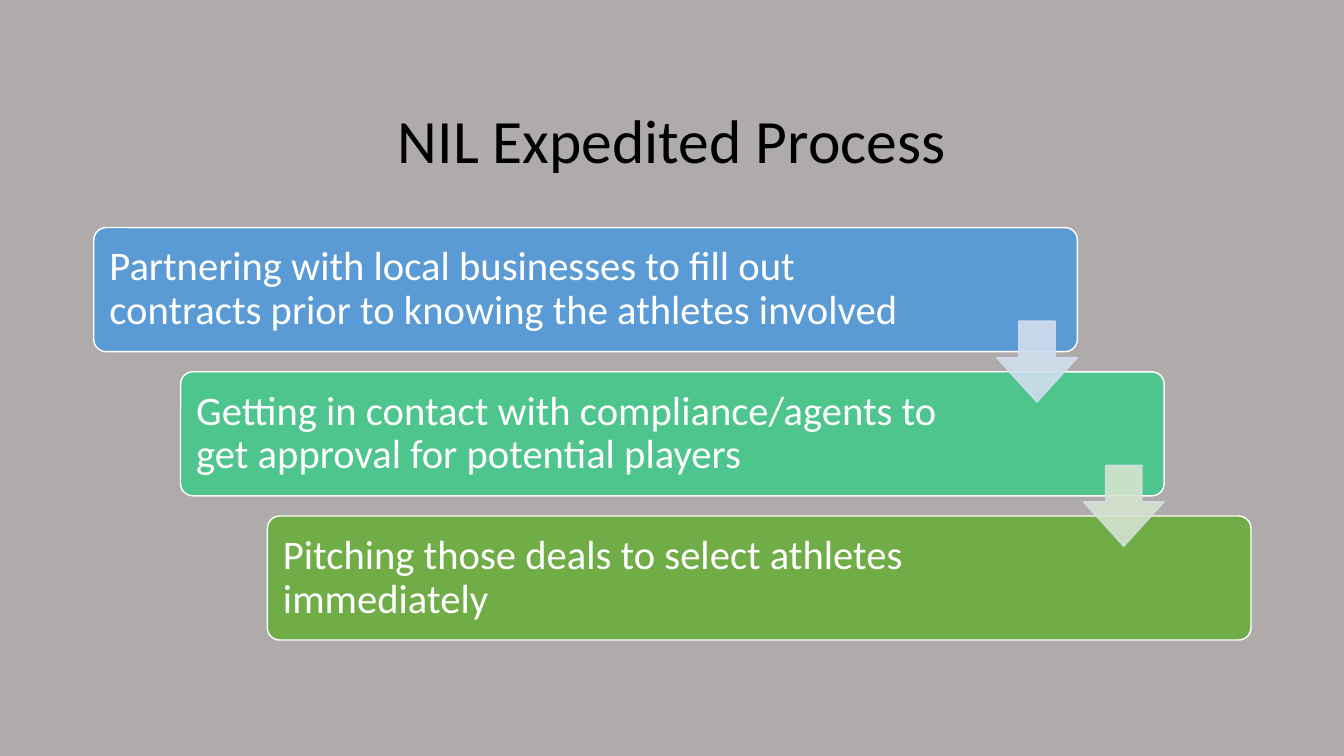
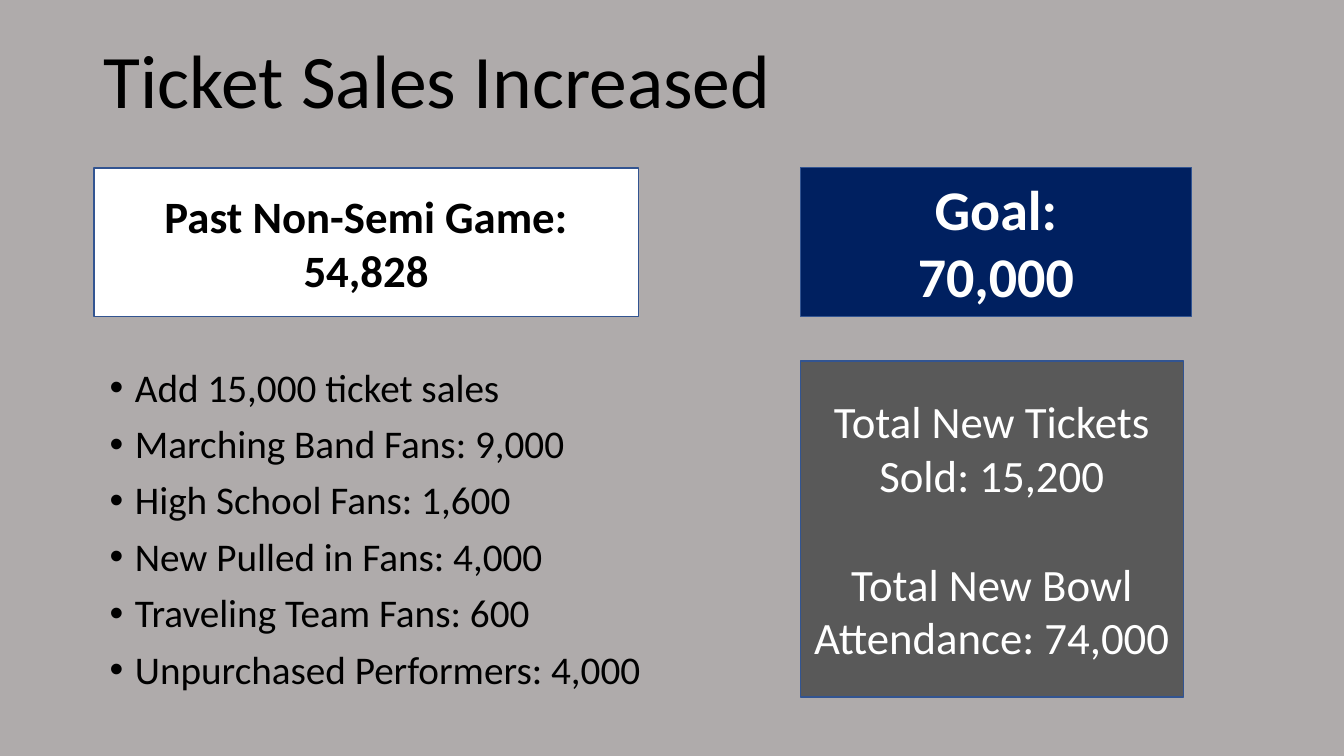
from lxml.etree import SubElement
from pptx import Presentation
from pptx.dml.color import RGBColor
from pptx.enum.shapes import MSO_SHAPE as SHAPE
from pptx.enum.text import MSO_ANCHOR as ANCHOR, PP_ALIGN as ALIGN
from pptx.oxml.ns import qn
from pptx.util import Pt

FONT = "Calibri"
COLORS = {
    "background": "AFABAB", "black": "000000", "white": "FFFFFF",
    "blue": "5B9BD5", "teal": "4DC58D", "green": "70AD47",
    "pale_blue": "D2DEEF", "pale_green": "D5E3CF",
    "outline": "325491", "navy": "002060", "gray": "595959",
}
STEPS = [
    ("Partnering with local businesses to fill out contracts prior to knowing the athletes involved", "blue", 100),
    ("Getting in contact with compliance/agents to get approval for potential players", "teal", 128),
    ("Pitching those deals to select athletes immediately", "green", 128),
]
ARROWS = ["pale_blue", "pale_green"]
SALES = [
    "Add 15,000 ticket sales",
    "Marching Band Fans: 9,000",
    "High School Fans: 1,600",
    "New Pulled in Fans: 4,000",
    "Traveling Team Fans: 600",
    "Unpurchased Performers: 4,000",
]


def rgb(name):
    return RGBColor.from_string(COLORS[name])


def add_slide(prs):
    slide = prs.slides.add_slide(prs.slide_layouts[6])
    slide.background.fill.solid()
    slide.background.fill.fore_color.rgb = rgb("background")
    return slide


def write(sp, lines, size, color="black", bold=False, align=ALIGN.LEFT,
          anchor=ANCHOR.MIDDLE, spacing=None, gap=0, bullets=False):
    tf = sp.text_frame
    tf.word_wrap = True
    tf.vertical_anchor = anchor
    for i, line in enumerate(lines):
        p = tf.add_paragraph() if i else tf.paragraphs[0]
        p.text = line
        p.alignment = align
        if spacing:
            p.line_spacing = spacing
        if i and gap:
            p.space_before = Pt(gap)
        if bullets:
            add_bullet(p)
        r = p.runs[0]
        r.font.name = FONT
        r.font.size = Pt(size)
        r.font.bold = bold
        r.font.color.rgb = rgb(color)


def add_bullet(p):
    pPr = p._p.get_or_add_pPr()
    pPr.set("marL", str(Pt(18)))
    pPr.set("indent", str(-Pt(18)))
    SubElement(pPr, qn("a:buFont"), typeface="Arial")
    SubElement(pPr, qn("a:buChar"), char="•")


def add_text(slide, box, lines, size, **style):
    sp = slide.shapes.add_textbox(*map(Pt, box))
    write(sp, lines, size, spacing=0.9, **style)


def add_title(slide, left, top, text, size, align=ALIGN.LEFT):
    add_text(slide, (left, top, 840, 120), [text], size, align=align)


def add_shape(slide, kind, box, fill, line, adjustments=()):
    sp = slide.shapes.add_shape(kind, *map(Pt, box))
    sp.shadow.inherit = False
    for i, value in enumerate(adjustments):
        sp.adjustments[i] = value
    sp.fill.solid()
    sp.fill.fore_color.rgb = rgb(fill)
    sp.line.color.rgb = rgb(line)
    sp.line.width = Pt(1)
    return sp


def add_step(slide, box, text, fill, right_inset):
    sp = add_shape(slide, SHAPE.ROUNDED_RECTANGLE, box, fill, "white", [0.1])
    write(sp, [text], 29, "white", spacing=0.9)
    sp.text_frame.margin_left = Pt(8.6)
    sp.text_frame.margin_right = Pt(right_inset)


def add_arrow(slide, box, fill):
    sp = add_shape(slide, SHAPE.DOWN_ARROW, box, fill, "pale_blue", [0.45, 0.55])
    sp.adjustments[0] = 0.45
    sp.adjustments[1] = 0.55
    for color in sp._element.spPr.iter(qn("a:srgbClr")):
        SubElement(color, qn("a:alpha"), val="90000")


def add_card(slide, box, lines, size, fill, color, bold=False, gap=0):
    sp = add_shape(slide, SHAPE.RECTANGLE, box, fill, "outline")
    write(sp, lines, size, color, bold, ALIGN.CENTER, gap=gap)


def build_process(prs):
    slide = add_slide(prs)
    add_title(slide, 60, 42.5, "NIL Expedited Process", 44, ALIGN.CENTER)
    left, top, width, height = 67, 162.6, 702.6, 88.6
    dx, dy, arrow = 62, 103, 57.8
    for i, (text, fill, inset) in enumerate(STEPS):
        add_step(slide, (left + i * dx, top + i * dy, width, height), text, fill, inset)
    for i, fill in enumerate(ARROWS):
        x = left + width - arrow + i * dx
        add_arrow(slide, (x, top + 66.8 + i * dy, arrow, arrow), fill)


def build_sales(prs):
    slide = add_slide(prs)
    add_title(slide, 67, 0, "Ticket Sales Increased", 54)
    add_text(slide, (71.3, 259.6, 480, 260), SALES, 28,
             anchor=ANCHOR.TOP, gap=10, bullets=True)
    add_card(slide, (67, 120, 389, 106), ["Past Non-Semi Game: 54,828"],
             32, "white", "black", bold=True)
    add_card(slide, (571.7, 119.5, 279.3, 106.5), ["Goal:", "70,000"],
             40, "navy", "white", bold=True)
    add_card(slide, (571.7, 257.8, 273.6, 240),
             ["Total New Tickets Sold: 15,200", "Total New Bowl Attendance: 74,000"],
             32, "gray", "white", gap=39)


def main():
    prs = Presentation()
    prs.slide_width, prs.slide_height = Pt(960), Pt(540)
    build_process(prs)
    build_sales(prs)
    prs.save("out.pptx")


if __name__ == "__main__":
    main()
